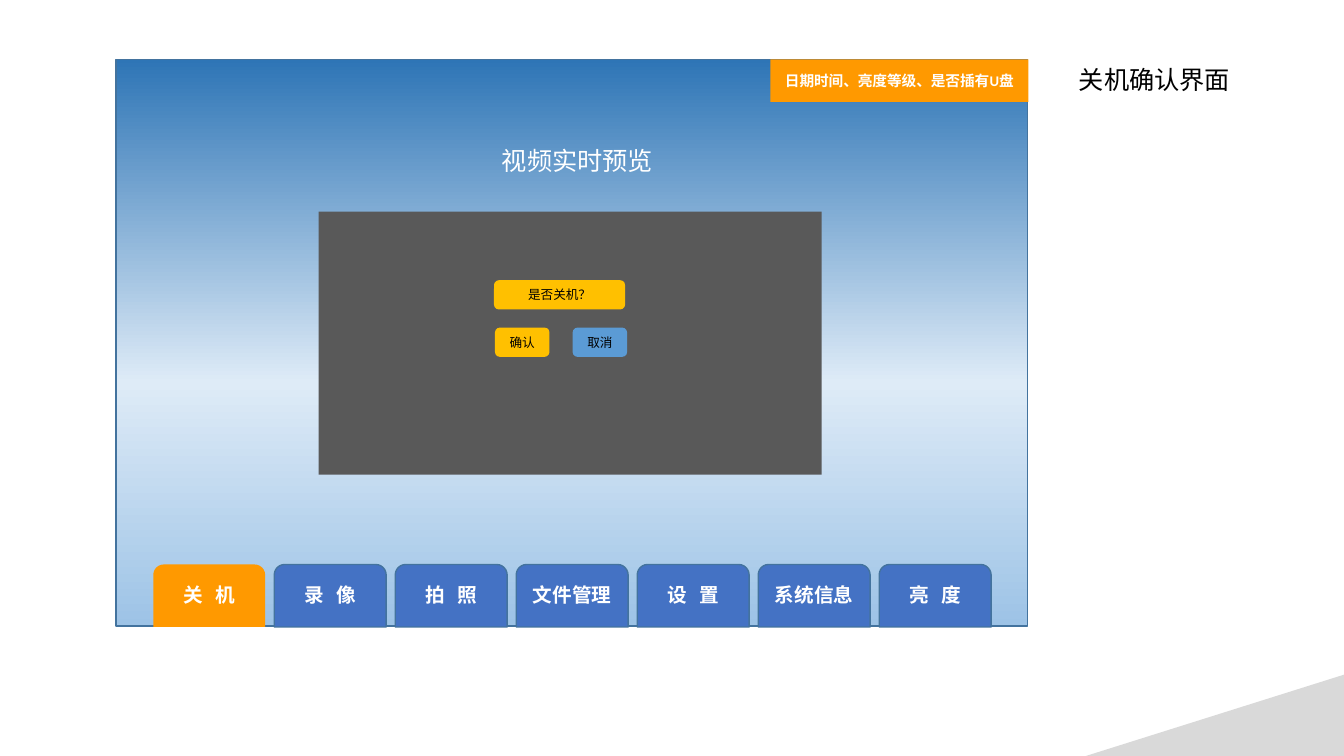
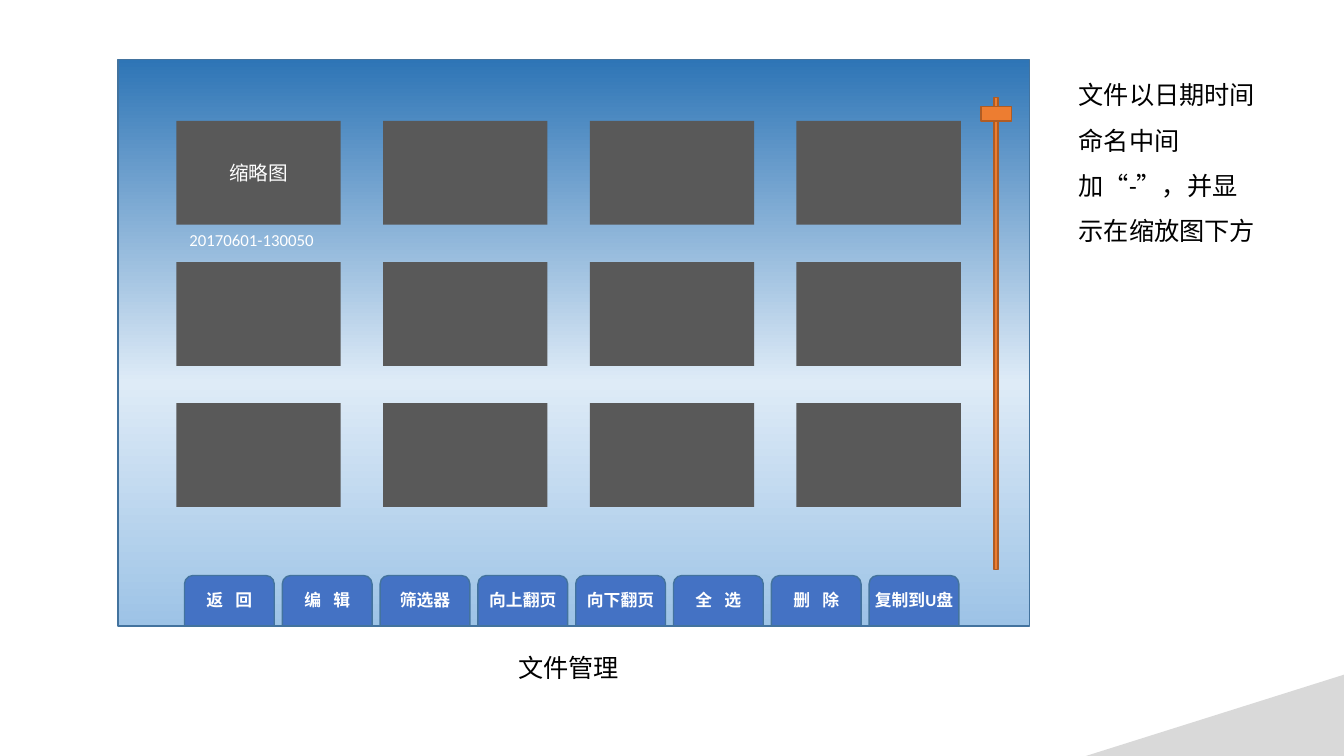
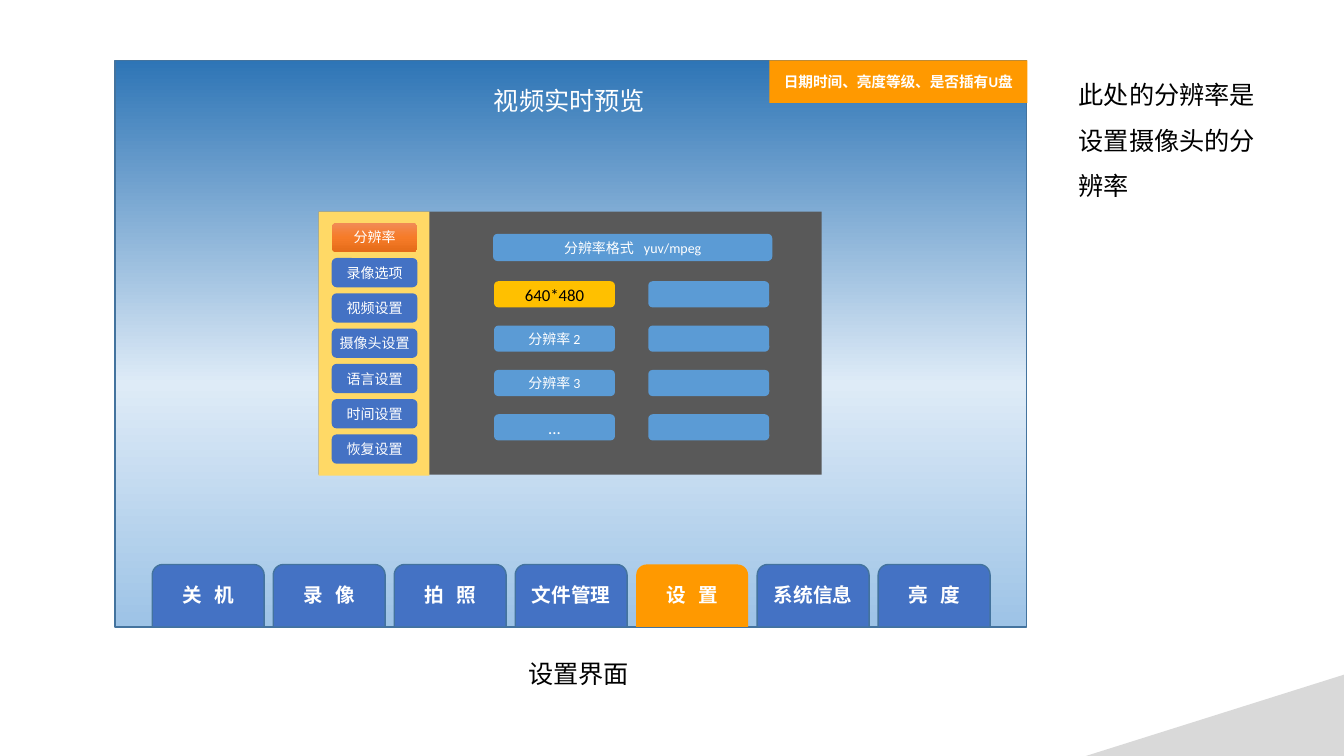
import pptx
import pptx.dml.color
import pptx.enum.shapes
import pptx.enum.text
import pptx.oxml
import pptx.oxml.ns
import pptx.util

Inches = pptx.util.Inches
Pt = pptx.util.Pt
RGBColor = pptx.dml.color.RGBColor
Shape = pptx.enum.shapes.MSO_SHAPE
Align = pptx.enum.text.PP_ALIGN
Anchor = pptx.enum.text.MSO_ANCHOR
qn = pptx.oxml.ns.qn

WHITE = RGBColor(0xFF, 0xFF, 0xFF)
BLACK = RGBColor(0x00, 0x00, 0x00)
PANEL_GRAY = RGBColor(0x59, 0x59, 0x59)
CORNER_GRAY = RGBColor(0xD9, 0xD9, 0xD9)
TAB_BLUE = RGBColor(0x44, 0x72, 0xC4)
BUTTON_BLUE = RGBColor(0x5B, 0x9B, 0xD5)
EDGE_BLUE = RGBColor(0x43, 0x73, 0x9E)
ACTIVE_ORANGE = RGBColor(0xFF, 0x99, 0x00)
GOLD = RGBColor(0xFF, 0xC0, 0x00)
SIDEBAR_YELLOW = RGBColor(0xFF, 0xD9, 0x66)
SLIDER_ORANGE = RGBColor(0xED, 0x7D, 0x31)
SLIDER_EDGE = RGBColor(0xAF, 0x5C, 0x24)

SCREEN_GRADIENT = [
    (0, RGBColor(0x2E, 0x75, 0xB6)),
    (57, RGBColor(0xDE, 0xEB, 0xF7)),
    (100, RGBColor(0x9D, 0xC3, 0xE6)),
]
SELECTED_GRADIENT = [
    (0, RGBColor(0xF1, 0x8C, 0x57)),
    (50, RGBColor(0xF6, 0x7B, 0x28)),
    (100, RGBColor(0xE5, 0x6C, 0x19)),
]

MAIN_TABS = ["关 机", "录 像", "拍 照", "文件管理", "设 置", "系统信息", "亮 度"]
FILE_TABS = ["返 回", "编 辑", "筛选器", "向上翻页", "向下翻页", "全 选", "删 除", "复制到U盘"]
SETTINGS = ["分辨率", "录像选项", "视频设置", "摄像头设置", "语言设置", "时间设置", "恢复设置"]


class Mockup:
    font_name = "Calibri"

    def __init__(self):
        self.presentation = pptx.Presentation()
        self.presentation.slide_width = Inches(13.33)
        self.presentation.slide_height = Inches(7.5)
        self.slide = None

    def new_slide(self, title, left, top, width, screen_left, screen_top):
        layout = self.presentation.slide_layouts[5]
        self.slide = self.presentation.slides.add_slide(layout)
        placeholder = self.slide.shapes.title
        placeholder.left, placeholder.top = Inches(left), Inches(top)
        placeholder.width, placeholder.height = Inches(width), Inches(0.4)
        placeholder.text_frame.auto_size = pptx.enum.text.MSO_AUTO_SIZE.NONE
        placeholder.text_frame.vertical_anchor = Anchor.TOP
        self.set_text(placeholder, title, 18, BLACK, alignment=Align.LEFT)
        corner = self.box(10.77, 6.69, 2.57, 0.81, CORNER_GRAY, Shape.RIGHT_TRIANGLE)
        corner._element.spPr.xfrm.set("flipH", "1")
        self.box(screen_left, screen_top, 9.04, 5.62, SCREEN_GRADIENT, line=EDGE_BLUE)

    def set_text(self, shape, text, size, color, bold=False, alignment=Align.CENTER, gap=0):
        paragraph = shape.text_frame.paragraphs[0]
        paragraph.alignment = alignment
        paragraph.font.name = self.font_name
        paragraph.font.size = Pt(size)
        paragraph.font.bold = bold
        paragraph.font.color.rgb = color
        for part in text.partition(" ") if gap else [text]:
            if part:
                run = paragraph.add_run()
                run.text = part
                if part == " ":
                    run._r.get_or_add_rPr().set("spc", str(gap * 100))
        return paragraph

    def box(self, left, top, width, height, fill, kind=Shape.RECTANGLE, line=None):
        shape = self.slide.shapes.add_shape(
            kind, Inches(left), Inches(top), Inches(width), Inches(height))
        shape.shadow.inherit = False
        if isinstance(fill, list):
            self.gradient(shape, fill)
        else:
            shape.fill.solid()
            shape.fill.fore_color.rgb = fill
        if line is None:
            shape.line.fill.background()
        else:
            shape.line.color.rgb = line
            shape.line.width = Pt(1)
        return shape

    def gradient(self, shape, stops):
        shape.fill.gradient()
        shape.fill.gradient_angle = 270
        stop_list = shape._element.spPr.find(qn("a:gradFill")).find(qn("a:gsLst"))
        for stop in list(stop_list):
            stop_list.remove(stop)
        for position, color in stops:
            stop_list.append(pptx.oxml.parse_xml(
                f'<a:gs {pptx.oxml.ns.nsdecls("a")} pos="{position * 1000}">'
                f'<a:srgbClr val="{color}"/></a:gs>'))

    def labelled(self, shape, text, size, color=WHITE, bold=False, gap=0):
        frame = shape.text_frame
        frame.word_wrap = False
        frame.vertical_anchor = Anchor.MIDDLE
        frame.margin_left = frame.margin_right = 0
        frame.margin_top = frame.margin_bottom = 0
        self.set_text(shape, text, size, color, bold, gap=gap)

    def button(self, left, top, width, height, fill, text="", size=10, color=WHITE, gap=0):
        shape = self.box(left, top, width, height, fill, Shape.ROUNDED_RECTANGLE)
        if text:
            self.labelled(shape, text, size, color, gap=gap)

    def text(self, left, top, width, height, text, size, color, line_spacing=1.0):
        shape = self.slide.shapes.add_textbox(
            Inches(left), Inches(top), Inches(width), Inches(height))
        shape.text_frame.word_wrap = True
        paragraph = self.set_text(shape, text, size, color, alignment=Align.LEFT)
        paragraph.line_spacing = line_spacing

    def note(self, text, height):
        self.text(10.6, 0.59, 1.98, height, text, 18, BLACK, 1.5)

    def tabs(self, labels, left, top, pitch, width, height, size, active=None):
        for index, label in enumerate(labels):
            fill, line = (ACTIVE_ORANGE, None) if label == active else (TAB_BLUE, EDGE_BLUE)
            tab = self.box(left + index * pitch, top, width, height, fill,
                           Shape.ROUND_2_SAME_RECTANGLE, line)
            self.labelled(tab, label, size, bold=True, gap=6)
            tab.text_frame.margin_bottom = Inches(0.05)

    def preview(self, left, top, heading_left, heading_top, active):
        self.text(heading_left, heading_top, 1.81, 0.4, "视频实时预览", 18, WHITE)
        status = self.box(left + 6.49, top, 2.56, 0.42, ACTIVE_ORANGE)
        self.labelled(status, "日期时间、亮度等级、是否插有U盘", 10.5, bold=True)
        self.box(3.16, 2.1, 4.99, 2.61, PANEL_GRAY)
        self.tabs(MAIN_TABS, left + 0.37, 5.6, 1.2, 1.11, 0.62, 14, active)


def shutdown_slide(mockup):
    mockup.new_slide("关机确认界面", 10.6, 0.59, 2.06, 1.15, 0.59)
    mockup.preview(1.15, 0.59, 4.88, 1.39, "关 机")
    mockup.button(4.9, 2.78, 1.3, 0.29, GOLD, "是否关机？", 9, BLACK)
    mockup.button(4.91, 3.25, 0.54, 0.29, GOLD, "确认", 9, BLACK)
    mockup.button(5.68, 3.25, 0.54, 0.29, BUTTON_BLUE, "取消", 9, BLACK)


def files_slide(mockup):
    mockup.new_slide("文件管理", 5.04, 6.42, 1.29, 1.17, 0.59)
    for row in range(3):
        for column in range(4):
            thumbnail = mockup.box(1.75 + column * 2.05, 1.2 + row * 1.4, 1.63, 1.03, PANEL_GRAY)
            if row == column == 0:
                mockup.labelled(thumbnail, "缩略图", 14)
    mockup.text(1.78, 2.23, 1.57, 0.3, "20170601-130050", 12, WHITE)
    mockup.box(9.86, 0.97, 0.04, 4.68, SLIDER_ORANGE, line=SLIDER_EDGE)
    mockup.box(9.73, 1.06, 0.3, 0.14, SLIDER_ORANGE, line=SLIDER_EDGE)
    mockup.tabs(FILE_TABS, 1.83, 5.71, 0.97, 0.89, 0.5, 12)
    mockup.note("文件以日期时间命名中间加“-”，并显示在缩放图下方", 1.9)


def settings_slide(mockup):
    mockup.new_slide("设置界面", 5.14, 6.48, 1.24, 1.14, 0.6)
    mockup.preview(1.14, 0.6, 4.8, 0.8, "设 置")
    mockup.box(3.16, 2.1, 1.1, 2.62, SIDEBAR_YELLOW)
    for index, label in enumerate(SETTINGS):
        fill = TAB_BLUE if index else SELECTED_GRADIENT
        mockup.button(3.29, 2.21 + index * 0.35, 0.85, 0.29, fill, label)
    mockup.button(4.89, 2.32, 2.77, 0.27, BUTTON_BLUE, "分辨率格式 yuv/mpeg", gap=5)
    resolutions = [
        ("640*480", 12, GOLD, BLACK),
        ("分辨率 2", 10, BUTTON_BLUE, WHITE),
        ("分辨率 3", 10, BUTTON_BLUE, WHITE),
        ("...", 12, BUTTON_BLUE, WHITE),
    ]
    for index, (label, size, fill, color) in enumerate(resolutions):
        top = 2.79 + index * 0.44
        mockup.button(4.9, top, 1.2, 0.26, fill, label, size, color)
        mockup.button(6.43, top, 1.2, 0.26, BUTTON_BLUE)
    mockup.note("此处的分辨率是设置摄像头的分辨率", 1.75)


def main():
    mockup = Mockup()
    shutdown_slide(mockup)
    files_slide(mockup)
    settings_slide(mockup)
    mockup.presentation.save("out.pptx")


if __name__ == "__main__":
    main()
